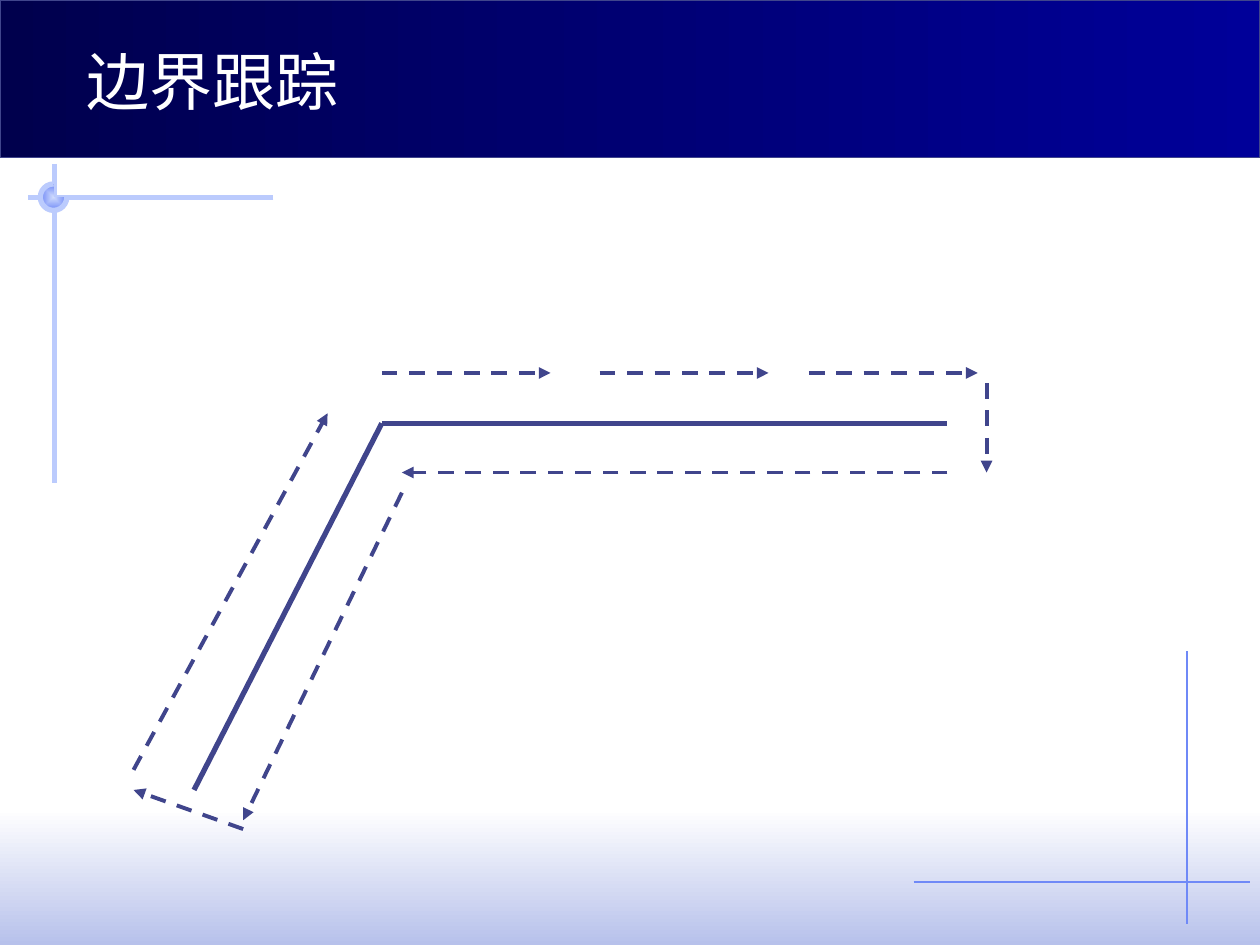
from lxml.etree import SubElement
from pptx import Presentation
from pptx.dml.color import RGBColor
from pptx.enum.dml import MSO_LINE
from pptx.enum.shapes import MSO_CONNECTOR, MSO_SHAPE
from pptx.enum.text import MSO_AUTO_SIZE
from pptx.oxml.ns import qn
from pptx.util import Inches, Pt

INK, PALE, BLUE = "40458C", "BBCBFD", "6F89F7"

EDGES = [
    ((3.03, 3.36), (7.52, 3.36)),
    ((1.54, 6.27), (3.03, 3.36)),
]
TRACE = [
    ((3.03, 2.96), (4.37, 2.96)),
    ((4.76, 2.96), (6.1, 2.96)),
    ((6.42, 2.96), (7.76, 2.96)),
    ((7.83, 3.04), (7.83, 3.75)),
    ((7.52, 3.75), (3.19, 3.75)),
    ((3.19, 3.91), (1.93, 6.51)),
    ((1.06, 6.11), (2.6, 3.28)),
    ((1.93, 6.58), (1.06, 6.27)),
]


def color(code):
    return RGBColor.from_string(code)


def stroke(shape, code, width):
    shape.line.color.rgb = color(code)
    shape.line.width = Pt(width)


def add_line(slide, start, end, code, width):
    ends = [Inches(v) for v in (*start, *end)]
    line = slide.shapes.add_connector(MSO_CONNECTOR.STRAIGHT, *ends)
    stroke(line, code, width)
    SubElement(line._element.spPr, qn("a:effectLst"))
    return line


def add_arrow(slide, start, end):
    line = add_line(slide, start, end, INK, 2.25)
    line.line.dash_style = MSO_LINE.DASH
    SubElement(line.line._get_or_add_ln(), qn("a:tailEnd"), type="triangle")


def add_blend(slide, kind, box, codes, angle=0):
    """Add a borderless shape with a two-colour gradient."""
    shape = slide.shapes.add_shape(kind, *[Inches(v) for v in box])
    shape.shadow.inherit = False
    shape.fill.gradient()
    shape.fill.gradient_angle = angle
    for stop, code in zip(shape.fill.gradient_stops, codes):
        stop.color.rgb = color(code)
    shape.line.fill.background()
    return shape


def add_knob(slide):
    """Add the three-quarter disc, shaded from its centre outwards."""
    knob = add_blend(slide, MSO_SHAPE.ARC, (0.32, 1.46, 0.21, 0.21),
                     ("CFDBFD", BLUE))
    knob.adjustments[0] = 0
    knob.adjustments[1] = 162  # 270 degrees
    grad = knob._element.spPr.find(qn("a:gradFill"))
    grad.remove(grad.find(qn("a:lin")))
    shade = SubElement(grad, qn("a:path"), path="shape")
    SubElement(shade, qn("a:fillToRect"),
               {side: "50000" for side in "ltrb"})
    stroke(knob, PALE, 3)


def add_title(slide, text):
    box = slide.shapes.add_textbox(
        Inches(0.59), Inches(0.29), Inches(2.22), Inches(0.71))
    frame = box.text_frame
    frame.word_wrap = False
    frame.auto_size = MSO_AUTO_SIZE.SHAPE_TO_FIT_TEXT
    para = frame.paragraphs[0]
    para.text = text
    para.font.name = "Cabin"
    para.font.size = Pt(36)
    para.font.color.rgb = color("FFFFFF")


def add_decor(slide):
    add_blend(slide, MSO_SHAPE.RECTANGLE, (0, 6.42, 10, 1.08),
              ("FFFFFF", "B7C1EB"), 270)
    add_line(slide, (9.42, 5.17), (9.42, 7.33), BLUE, 0.75)
    add_line(slide, (7.25, 7), (9.92, 7), BLUE, 0.75)
    add_line(slide, (2.17, 1.57), (0.22, 1.57), PALE, 3)
    add_line(slide, (0.43, 1.3), (0.43, 3.83), PALE, 3)
    add_knob(slide)
    band = add_blend(slide, MSO_SHAPE.RECTANGLE, (0, 0, 10, 1.25),
                     ("00004D", "000099"))
    stroke(band, INK, 0.75)


def main():
    deck = Presentation()
    deck.slide_width, deck.slide_height = Inches(10), Inches(7.5)
    slide = deck.slides.add_slide(deck.slide_layouts[6])
    add_decor(slide)
    add_title(slide, "边界跟踪")
    for start, end in EDGES:
        add_line(slide, start, end, INK, 3)
    for start, end in TRACE:
        add_arrow(slide, start, end)
    deck.save("out.pptx")


if __name__ == "__main__":
    main()
